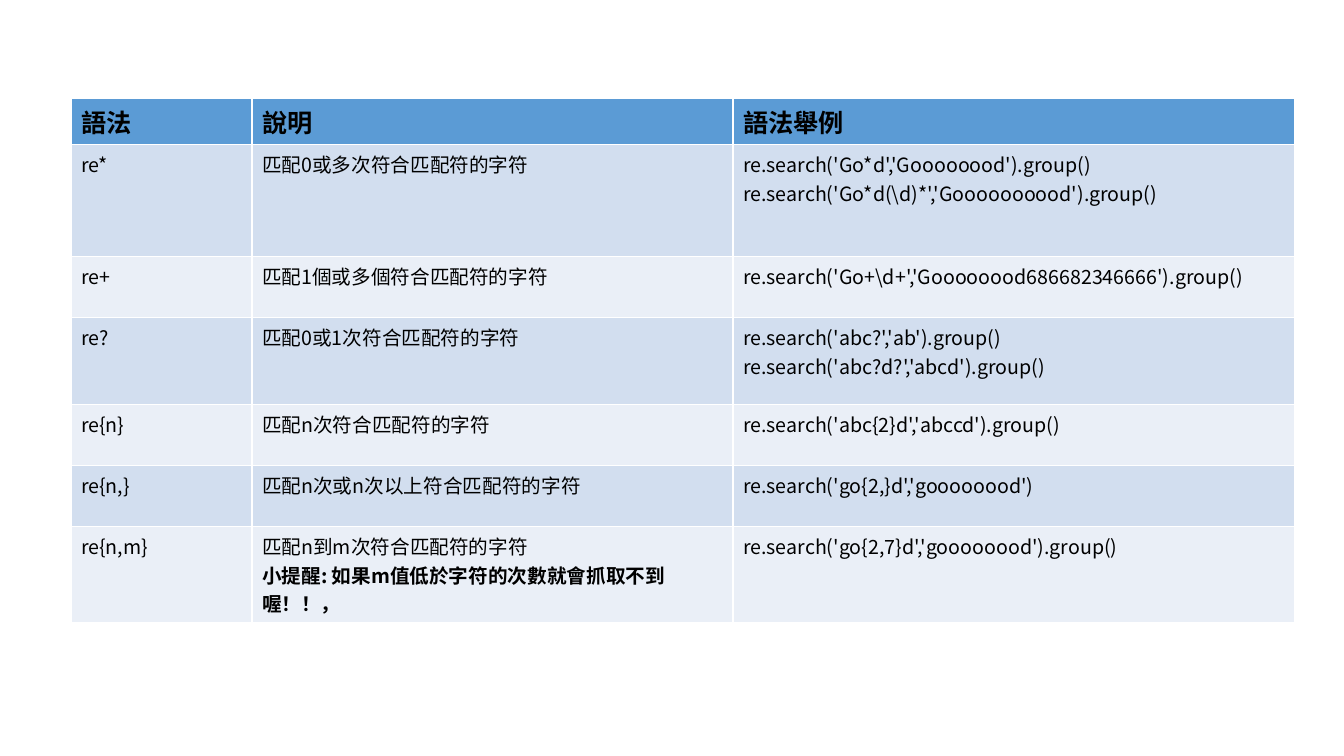
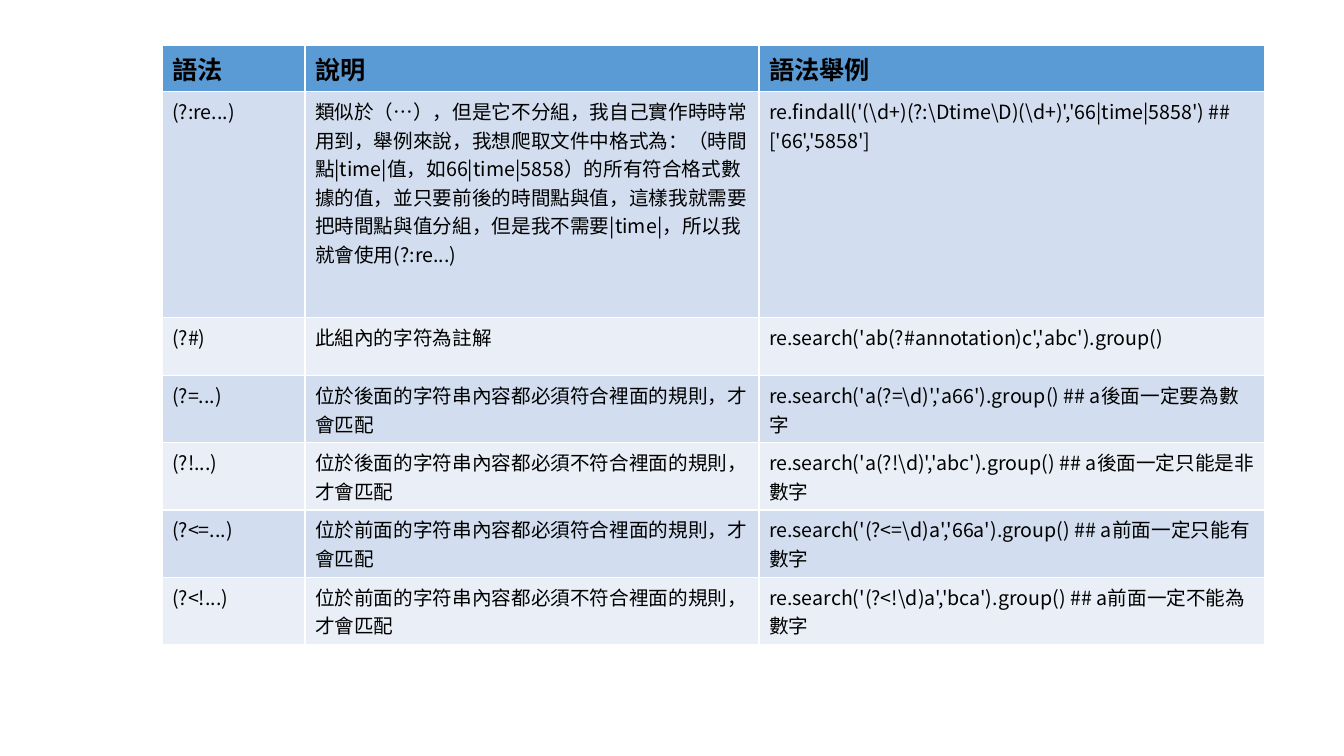
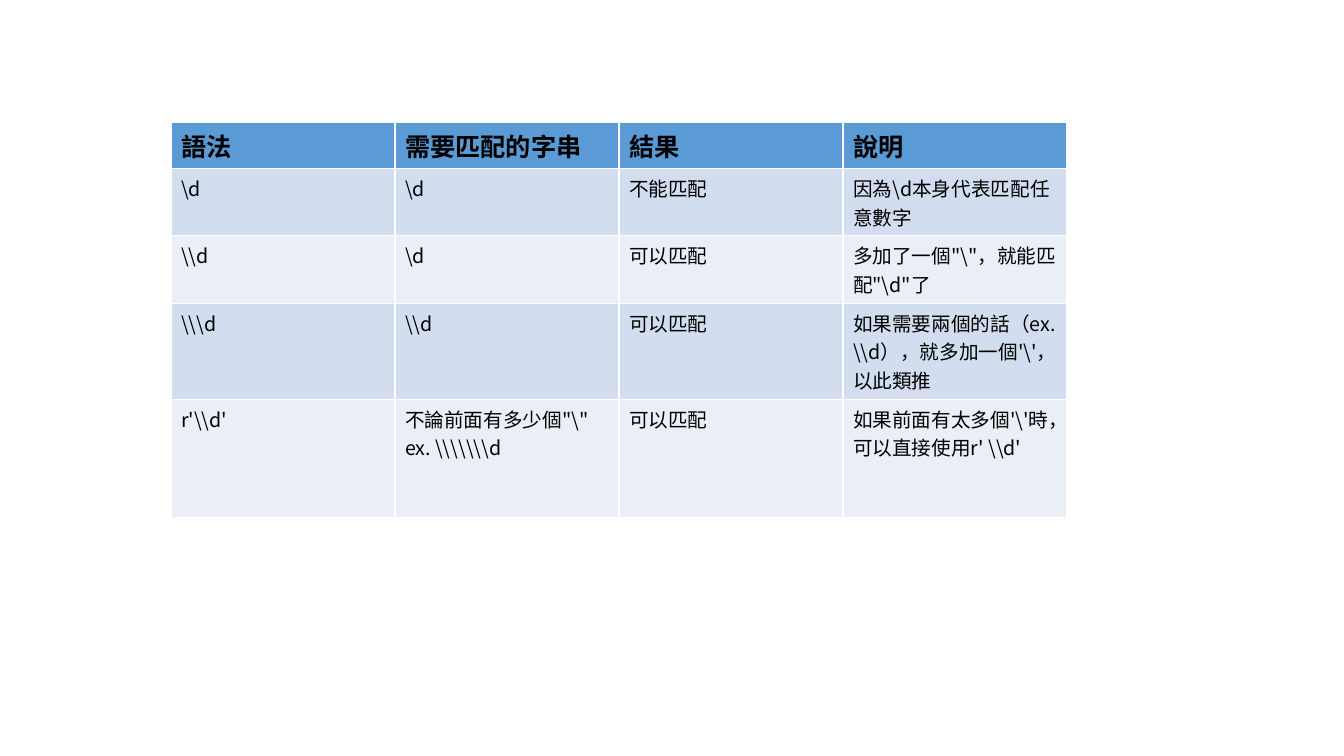
"""Build three slides of regular expression syntax tables."""
from lxml.etree import SubElement
from pptx import Presentation
from pptx.dml.color import RGBColor
from pptx.oxml.ns import qn
from pptx.util import Pt

PX = 914400 / 100.8
FONT = "Noto Sans CJK SC"
BLACK = RGBColor(0x00, 0x00, 0x00)
HEADER_BLUE = RGBColor(0x5B, 0x9B, 0xD5)
BANDS = [RGBColor(0xEA, 0xEF, 0xF7), RGBColor(0xD2, 0xDE, 0xEF)]
REMINDER = "小提醒: 如果m值低於字符的次數就會抓取不到喔！！，"


def px(length):
    return round(length * PX)


def add_syntax_table(deck, left, top, widths, heights, rows):
    page = deck.slides.add_slide(deck.slide_layouts[6])
    table = page.shapes.add_table(
        len(rows), len(widths), px(left), px(top), px(sum(widths)), px(sum(heights))
    ).table
    for column, width in zip(table.columns, widths):
        column.width = px(width)
    for index, (row, height, texts) in enumerate(zip(table.rows, heights, rows)):
        row.height = px(height)
        is_header = index == 0
        for cell, text in zip(row.cells, texts):
            cell.fill.solid()
            cell.fill.fore_color.rgb = HEADER_BLUE if is_header else BANDS[index % 2]
            cell.text = text
            for para in cell.text_frame.paragraphs:
                font = para.font
                font.size = Pt(18 if is_header else 14)
                font.bold = is_header or para.text == REMINDER
                font.color.rgb = BLACK
                font.name = FONT
                defaults = para._p.pPr.find(qn("a:defRPr"))
                SubElement(defaults, qn("a:ea"), typeface=FONT)


deck = Presentation()
deck.slide_width = px(1344)
deck.slide_height = px(756)

quantifiers = [
    ("語法", "說明", "語法舉例"),
    ("re*", "匹配0或多次符合匹配符的字符",
     "re.search('Go*d','Goooooood').group()\n"
     r"re.search('Go*d(\d)*','Goooooooood').group()"),
    ("re+", "匹配1個或多個符合匹配符的字符",
     r"re.search('Go+\d+','Goooooood686682346666').group()"),
    ("re?", "匹配0或1次符合匹配符的字符",
     "re.search('abc?','ab').group()\nre.search('abc?d?','abcd').group()"),
    ("re{n}", "匹配n次符合匹配符的字符", "re.search('abc{2}d','abccd').group()"),
    ("re{n,}", "匹配n次或n次以上符合匹配符的字符", "re.search('go{2,}d','goooooood')"),
    ("re{n,m}", "匹配n到m次符合匹配符的字符\n" + REMINDER,
     "re.search('go{2,7}d','goooooood').group()"),
]
add_syntax_table(deck, 71, 98, [181, 481, 562], [45, 112, 61, 87, 61, 61, 96], quantifiers)

groups = [
    ("語法", "說明", "語法舉例"),
    ("(?:re...)",
     "類似於（…），但是它不分組，我自己實作時時常用到，舉例來說，我想爬取文件中格式為："
     "（時間點|time|值，如66|time|5858）的所有符合格式數據的值，並只要前後的時間點與值，"
     "這樣我就需要把時間點與值分組，但是我不需要|time|，所以我就會使用(?:re...)",
     r"re.findall('(\d+)(?:\Dtime\D)(\d+)','66|time|5858') ## ['66','5858']"),
    ("(?#)", "此組內的字符為註解", "re.search('ab(?#annotation)c','abc').group()"),
    ("(?=...)", "位於後面的字符串內容都必須符合裡面的規則，才會匹配",
     r"re.search('a(?=\d)','a66').group() ## a後面一定要為數字"),
    ("(?!...)", "位於後面的字符串內容都必須不符合裡面的規則，才會匹配",
     r"re.search('a(?!\d)','abc').group() ## a後面一定只能是非數字"),
    ("(?<=...)", "位於前面的字符串內容都必須符合裡面的規則，才會匹配",
     r"re.search('(?<=\d)a','66a').group() ## a前面一定只能有數字"),
    ("(?<!...)", "位於前面的字符串內容都必須不符合裡面的規則，才會匹配",
     r"re.search('(?<!\d)a','bca').group() ## a前面一定不能為數字"),
]
add_syntax_table(deck, 162, 45, [143, 454, 506], [46, 226, 58] + [67] * 4, groups)

escapes = [
    ("語法", "需要匹配的字串", "結果", "說明"),
    (r"\d", r"\d", "不能匹配", r"因為\d本身代表匹配任意數字"),
    (r"\\d", r"\d", "可以匹配", r'多加了一個"\"，就能匹配"\d"了'),
    (r"\\\d", r"\\d", "可以匹配", r"如果需要兩個的話（ex. \\d），就多加一個'\'，以此類推"),
    (r"r'\\d'", r'不論前面有多少個"\" ex. \\\\\\\d', "可以匹配",
     r"如果前面有太多個'\'時，可以直接使用r' \\d'"),
]
add_syntax_table(deck, 171, 122, [224] * 4, [46, 67, 67, 96, 119], escapes)

deck.save("out.pptx")
